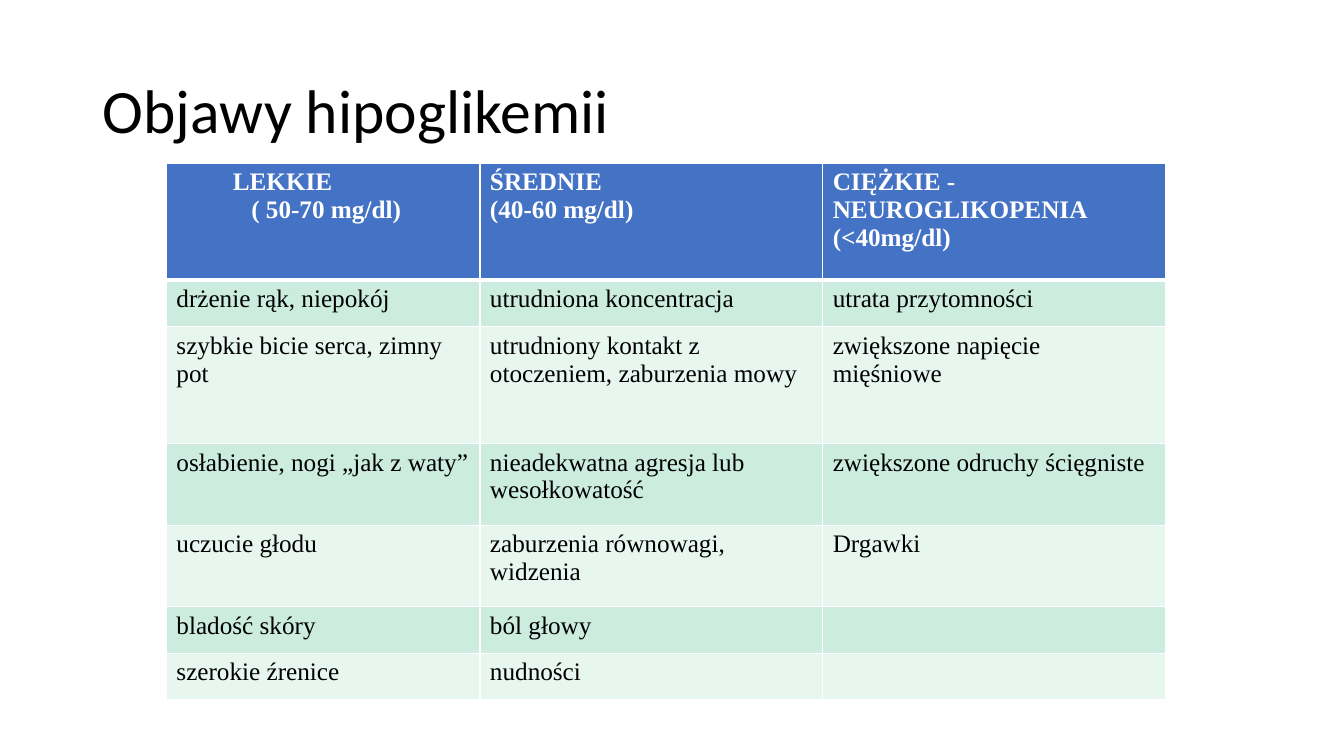
from pptx import Presentation
from pptx.dml.color import RGBColor
from pptx.enum.text import MSO_ANCHOR, PP_ALIGN
from pptx.oxml import parse_xml
from pptx.oxml.ns import nsdecls
from pptx.util import Inches, Pt

COLORS = {"text": "000000", "white": "FFFFFF", "header": "4472C4",
          "odd": "CBECDE", "even": "E7F6EF"}
TABLE_LEFT, TABLE_TOP = 1.65, 1.62
COLUMN_WIDTHS = [3.11, 3.4, 3.4]
ROW_HEIGHTS = [1.16, 0.46, 1.16, 0.81, 0.81, 0.46, 0.46]
SYMPTOMS = [
    ["LEKKIE\n( 50-70 mg/dl)", "ŚREDNIE\n(40-60 mg/dl)",
     "CIĘŻKIE - NEUROGLIKOPENIA\n(<40mg/dl)"],
    ["drżenie rąk, niepokój", "utrudniona koncentracja", "utrata przytomności"],
    ["szybkie bicie serca, zimny pot",
     "utrudniony kontakt z otoczeniem, zaburzenia mowy",
     "zwiększone napięcie mięśniowe"],
    ["osłabienie, nogi „jak z waty”", "nieadekwatna agresja lub wesołkowatość",
     "zwiększone odruchy ścięgniste"],
    ["uczucie głodu", "zaburzenia równowagi, widzenia", "Drgawki"],
    ["bladość skóry", "ból głowy", ""],
    ["szerokie źrenice", "nudności", ""],
]


def style_text(frame, font_name, size, color, bold=False):
    """Give every run of a text frame the same font."""
    for para in frame.paragraphs:
        for span in para.runs:
            font = span.font
            font.name, font.size, font.bold = font_name, Pt(size), bold
            font.color.rgb = RGBColor.from_string(COLORS[color])


def set_borders(cell, widths):
    """Draw white cell borders with widths given by side in points."""
    properties = cell._tc.get_or_add_tcPr()
    for index, side in enumerate("LRTB"):
        properties.insert(index, parse_xml(
            f'<a:ln{side} {nsdecls("a")} w="{Pt(widths.get(side, 1))}"><a:solidFill>'
            f'<a:srgbClr val="{COLORS["white"]}"/></a:solidFill></a:ln{side}>'))


def add_title(page, text):
    """Add the slide heading."""
    box = page.shapes.add_textbox(Inches(0.92), Inches(0.4), Inches(11.5), Inches(1.45))
    frame = box.text_frame
    frame.word_wrap = True
    frame.vertical_anchor = MSO_ANCHOR.MIDDLE
    frame.text = text
    frame.paragraphs[0].line_spacing = 0.9
    style_text(frame, "Calibri", 44, "text")


def fill_cell(cell, text, row):
    """Write one cell and colour it by its row."""
    header = row == 0
    cell.text_frame.text = text
    style_text(cell.text_frame, "Times New Roman", 18,
               "white" if header else "text", header)
    set_borders(cell, {0: {"B": 3}, 1: {"T": 3}}.get(row, {}))
    cell.fill.solid()
    band = "header" if header else "odd" if row % 2 else "even"
    cell.fill.fore_color.rgb = RGBColor.from_string(COLORS[band])


def add_symptom_table(page):
    """Add the table of symptoms by severity."""
    table = page.shapes.add_table(
        len(ROW_HEIGHTS), len(COLUMN_WIDTHS), Inches(TABLE_LEFT), Inches(TABLE_TOP),
        Inches(sum(COLUMN_WIDTHS)), Inches(sum(ROW_HEIGHTS))).table
    for column, width in zip(table.columns, COLUMN_WIDTHS):
        column.width = Inches(width)
    for row, height in zip(table.rows, ROW_HEIGHTS):
        row.height = Inches(height)
    for row, texts in enumerate(SYMPTOMS):
        for column, text in enumerate(texts):
            fill_cell(table.cell(row, column), text, row)
    mild, mild_range = table.cell(0, 0).text_frame.paragraphs
    mild._p.get_or_add_pPr().set("marL", str(Inches(0.56)))
    mild_range.alignment = PP_ALIGN.CENTER
    mild_range._p.get_or_add_pPr().set("marL", str(Inches(0.06)))


def main():
    """Build and save the slide."""
    deck = Presentation()
    deck.slide_width, deck.slide_height = Inches(13.33), Inches(7.5)
    page = deck.slides.add_slide(deck.slide_layouts[6])
    add_title(page, "Objawy hipoglikemii")
    add_symptom_table(page)
    deck.save("out.pptx")


main()
